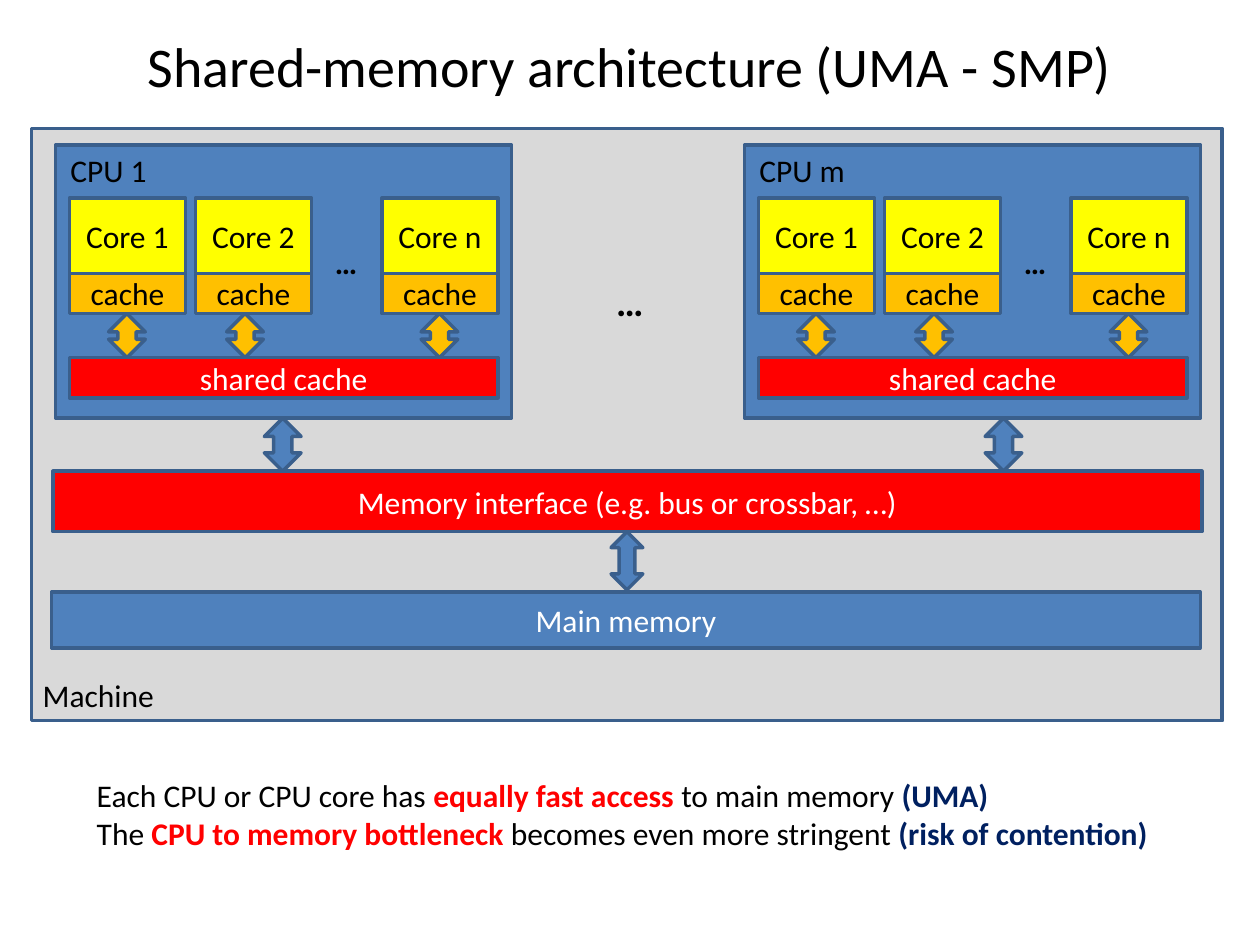
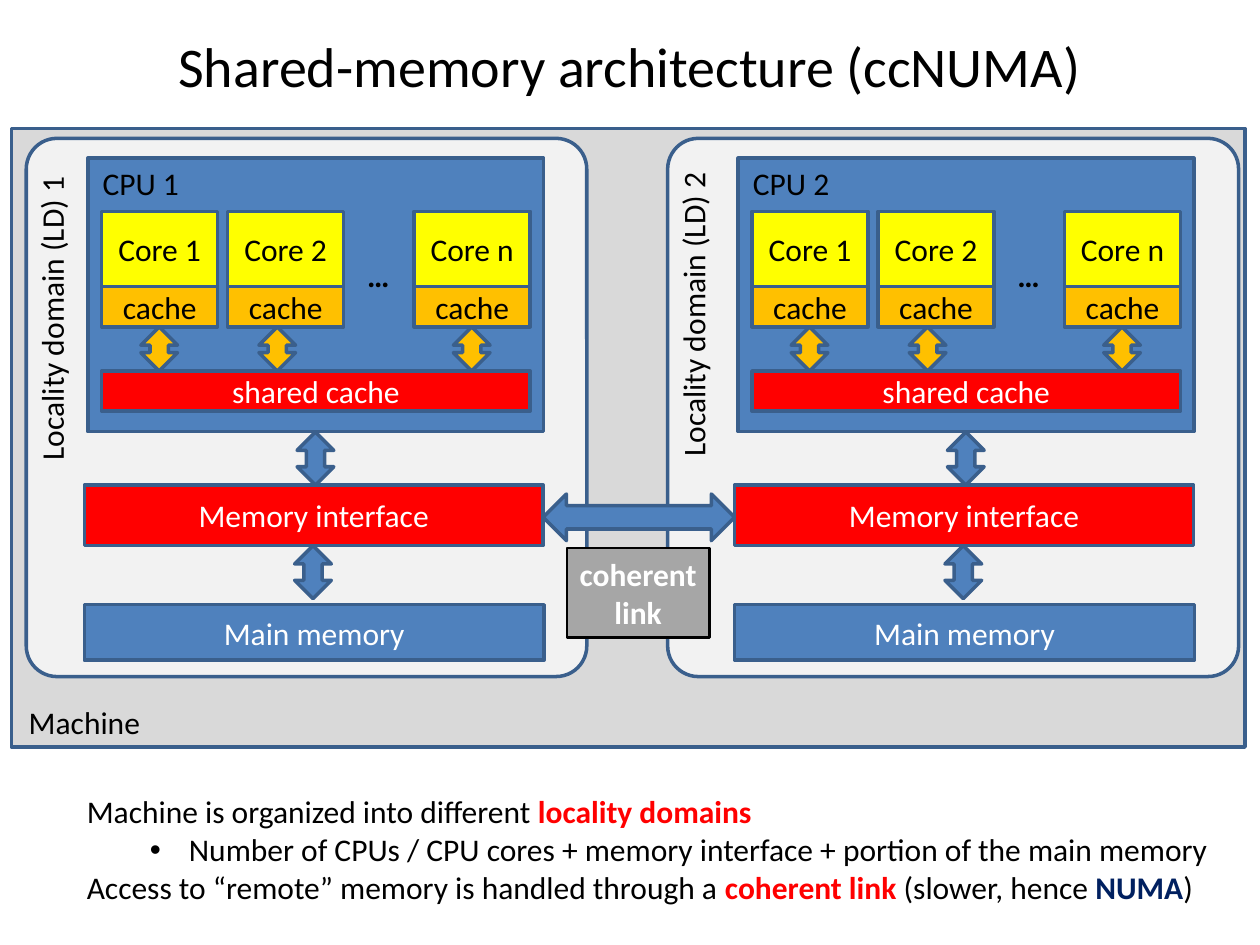
"""Builds two slides on shared-memory architectures: UMA and ccNUMA."""
from lxml import etree
from pptx import Presentation
from pptx.dml.color import RGBColor
from pptx.enum.shapes import MSO_SHAPE
from pptx.enum.text import MSO_ANCHOR, PP_ALIGN
from pptx.oxml.ns import qn
from pptx.util import Cm, Pt

BLUE, RED, YELLOW, ORANGE = "4F81BD", "FF0000", "FFFF00", "FFC000"
GREY, PALE, STONE, EDGE = "D9D9D9", "F2F2F2", "A6A6A6", "3A5F8C"
BLACK, WHITE, NAVY = "000000", "FFFFFF", "002060"

PLAIN = {"size": Pt(18), "name": "Calibri", "bold": False, "color": BLACK}
LIGHT = PLAIN | {"color": WHITE}
STRONG = PLAIN | {"bold": True}
ALERT = STRONG | {"color": RED}
TERM = STRONG | {"color": NAVY}
LINK = STRONG | {"color": WHITE}
TITLE = PLAIN | {"size": Pt(32)}
GAP = STRONG | {"size": Pt(22)}

CENTERED = {"vertical_anchor": MSO_ANCHOR.MIDDLE, "word_wrap": True}
FREE = {"vertical_anchor": MSO_ANCHOR.TOP, "word_wrap": False}

TITLE_AT = (1.27, 0.43, 22.86, 1.78)
CPU_SIZE = (9.19, 5.51)
CORES = [("Core 1", 0.28, 1.07), ("Core 2", 2.82, 3.45), ("Core n", 6.58, 7.37)]
CORE_WIDTH = 2.34
CORE_ARROW = (0.74, 0.89)
BUS_ARROW = (0.74, 1.07)

UMA = {
    "title": "Shared-memory architecture (UMA - SMP)",
    "machine": (0.64, 2.59, 24.0, 11.94),
    "machine label": (0.61, 13.51, 2.79, 1.02),
    "notes at": (1.7, 15.52, 22.07, 1.8),
    "notes": [
        (0, [("Each CPU or CPU core has ", PLAIN), ("equally fast access ", ALERT),
             ("to main memory ", PLAIN), ("(UMA)", TERM)]),
        (0, [("The ", PLAIN), ("CPU to memory bottleneck", ALERT),
             (" becomes even more stringent ", PLAIN), ("(risk of contention)", TERM)]),
    ],
    "cpus": [("CPU 1", 1.12, 5.33), ("CPU m", 15.01, 19.86)],
}

NUMA = {
    "title": "Shared-memory architecture (ccNUMA)",
    "machine": (0.23, 2.59, 24.87, 12.47),
    "machine label": (0.33, 14.05, 2.79, 1.02),
    "notes at": (1.5, 15.85, 23.39, 2.57),
    "notes": [
        (0, [("Machine is organized into different ", PLAIN), ("locality domains", ALERT)]),
        (1, [("Number of CPUs / CPU cores + memory interface + "
              "portion of the main memory", PLAIN)]),
        (0, [("Access to “remote” memory is handled through a ", PLAIN),
             ("coherent link", ALERT), (" (slower, hence ", PLAIN), ("NUMA", TERM),
             (")", PLAIN)]),
    ],
    "domains": [
        ("CPU 1", 1.7, (0.53, 11.3), "Locality domain (LD) 1", (-2.11, 5.87)),
        ("CPU 2", 14.81, (13.46, 11.51), "Locality domain (LD) 2", (10.82, 5.79)),
    ],
}


def rgb(value):
    return RGBColor.from_string(value)


def apply(target, values):
    for key, value in values.items():
        if key == "color":
            target.color.rgb = rgb(value)
        else:
            setattr(target, key, value)


def bullet(paragraph):
    props = paragraph._p.get_or_add_pPr()
    props.set("marL", str(Cm(2.06)))
    props.set("indent", str(-Cm(0.79)))
    etree.SubElement(props, qn("a:buFont")).set("typeface", "Arial")
    etree.SubElement(props, qn("a:buChar")).set("char", "•")


def write(shape, paragraphs, frame_format, align):
    frame = shape.text_frame
    apply(frame, frame_format)
    for index, (level, runs) in enumerate(paragraphs):
        paragraph = frame.add_paragraph() if index else frame.paragraphs[0]
        apply(paragraph, {"alignment": align, "level": level})
        if level:
            bullet(paragraph)
        for words, style in runs:
            run = paragraph.add_run()
            run.text = words
            apply(run.font, style)


def block(slide, at, fill, words="", style=PLAIN, kind=MSO_SHAPE.RECTANGLE,
          edge=EDGE, weight=2):
    shape = slide.shapes.add_shape(kind, *map(Cm, at))
    shape.shadow.inherit = False
    shape.fill.solid()
    shape.fill.fore_color.rgb = rgb(fill)
    apply(shape.line, {"width": Pt(weight), "color": edge})
    if words:
        lines = [(0, [(line, style)]) for line in words.split("\n")]
        write(shape, lines, CENTERED, PP_ALIGN.CENTER)
    return shape


def arrow(slide, x, y, size, fill=BLUE):
    block(slide, (x, y, *size), fill, kind=MSO_SHAPE.UP_DOWN_ARROW)


def label(slide, at, paragraphs, frame_format=FREE, align=PP_ALIGN.LEFT):
    shape = slide.shapes.add_textbox(*map(Cm, at))
    write(shape, paragraphs, frame_format, align)
    return shape


def caption(slide, at, words, style=PLAIN):
    return label(slide, at, [(0, [(words, style)])])


def cpu(slide, name, x, y):
    block(slide, (x, y, *CPU_SIZE), BLUE)
    for core, left, arrow_left in CORES:
        block(slide, (x + left, y + 1.07, CORE_WIDTH, 1.53), YELLOW, core)
        block(slide, (x + left, y + 2.59, CORE_WIDTH, 0.81), ORANGE, "cache")
        arrow(slide, x + arrow_left, y + 3.4, CORE_ARROW, ORANGE)
    block(slide, (x + 0.28, y + 4.29, 8.64, 0.81), RED, "shared cache", LIGHT)
    caption(slide, (x + 5.38, y + 1.85, 0.97, 1.02), "…", STRONG)
    caption(slide, (x + 0.05, y, 2.5, 1.02), name)


def start_slide(deck, content):
    slide = deck.slides.add_slide(deck.slide_layouts[6])
    label(slide, TITLE_AT, [(0, [(content["title"], TITLE)])], CENTERED, PP_ALIGN.CENTER)
    block(slide, content["machine"], GREY)
    caption(slide, content["machine label"], "Machine")
    label(slide, content["notes at"], content["notes"])
    return slide


def uma_slide(deck):
    slide = start_slide(deck, UMA)
    block(slide, (1.07, 9.5, 23.16, 1.22), RED,
          "Memory interface (e.g. bus or crossbar, …)", LIGHT)
    block(slide, (1.04, 11.94, 23.16, 1.12), BLUE, "Main memory", LIGHT)
    arrow(slide, 12.32, 10.72, (0.64, 1.17))
    caption(slide, (12.17, 5.49, 1.07, 1.19), "…", GAP)
    for name, x, arrow_x in UMA["cpus"]:
        arrow(slide, arrow_x, 8.43, BUS_ARROW)
        cpu(slide, name, x, 2.92)


def numa_slide(deck):
    slide = start_slide(deck, NUMA)
    for name, x, (panel_x, panel_width), domain, (domain_x, domain_y) in NUMA["domains"]:
        panel = block(slide, (panel_x, 2.79, panel_width, 10.85), PALE,
                      kind=MSO_SHAPE.ROUNDED_RECTANGLE)
        panel.adjustments[0] = 0.057
        block(slide, (x, 9.78, 9.25, 1.22), RED, "Memory interface", LIGHT)
        block(slide, (x, 12.19, 9.27, 1.12), BLUE, "Main memory", LIGHT)
        arrow(slide, x + 4.29, 8.71, BUS_ARROW)
        arrow(slide, x + 4.24, 11, BUS_ARROW)
        cpu(slide, name, x + 0.07, 3.19)
        caption(slide, (domain_x, domain_y, 6.3, 1.02), domain).rotation = 270
    block(slide, (10.95, 9.96, 3.86, 0.94), BLUE, kind=MSO_SHAPE.LEFT_RIGHT_ARROW)
    link = block(slide, (11.43, 11.05, 2.87, 1.8), STONE, "coherent\nlink", LINK,
                 edge=BLACK, weight=1.5)
    link.text_frame.word_wrap = False


def main():
    deck = Presentation()
    apply(deck, {"slide_width": Cm(25.4), "slide_height": Cm(19.05)})
    uma_slide(deck)
    numa_slide(deck)
    deck.save("out.pptx")


if __name__ == "__main__":
    main()
